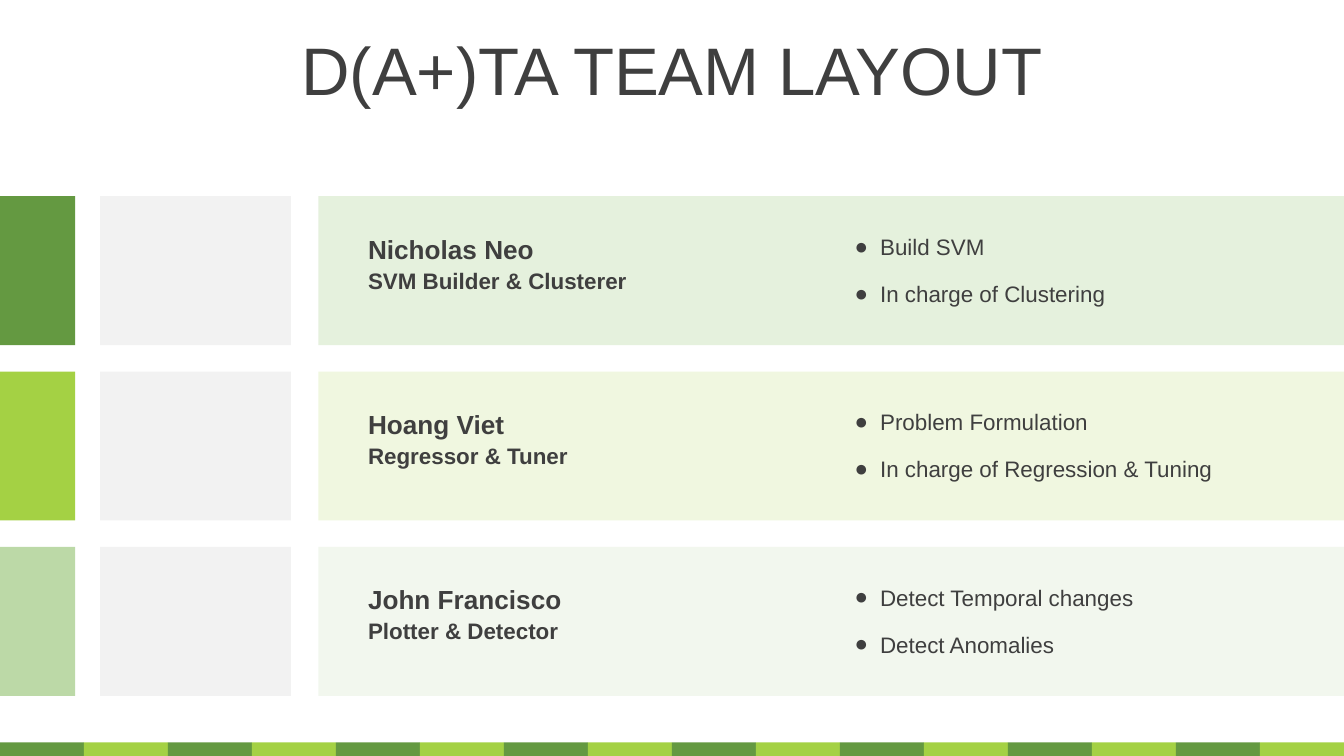
from lxml import etree
from pptx import Presentation
from pptx.dml.color import RGBColor
from pptx.enum.shapes import MSO_SHAPE
from pptx.enum.text import MSO_ANCHOR, PP_ALIGN
from pptx.oxml.ns import qn
from pptx.util import Inches, Pt

RECT = MSO_SHAPE.RECTANGLE
MIDDLE = MSO_ANCHOR.MIDDLE
LEFT, CENTER = PP_ALIGN.LEFT, PP_ALIGN.CENTER

INK = RGBColor(0x3F, 0x3F, 0x3F)
GRAY = RGBColor(0xF2, 0xF2, 0xF2)
GREEN = RGBColor(0x64, 0x99, 0x41)
LIME = RGBColor(0xA4, 0xD1, 0x44)
SAGE = RGBColor(0xA0, 0xCA, 0x83)
MINT = RGBColor(0xBF, 0xDC, 0xAC)
CREAM = RGBColor(0xDA, 0xEC, 0xB2)
MIST = RGBColor(0xDF, 0xED, 0xD5)

deck = Presentation()
deck.slide_width = Inches(10)
deck.slide_height = deck.slide_width * 9 // 16
X, Y = deck.slide_width / 100, deck.slide_height / 100
slide = deck.slides.add_slide(deck.slide_layouts[6])


def add_block(left, top, width, height, color, alpha=100):
    block = slide.shapes.add_shape(
        RECT, int(left * X), int(top * Y), int(width * X), int(height * Y))
    block.shadow.inherit = False
    block.line.fill.background()
    block.fill.solid()
    block.fill.fore_color.rgb = color
    if alpha < 100:
        tint = block.fill._xPr.find(".//" + qn("a:srgbClr"))
        etree.SubElement(tint, qn("a:alpha"), val=str(alpha * 1000))


def add_label(left, top, width, height, text, size, bold=False, align=LEFT):
    box = slide.shapes.add_textbox(
        int(left * X), int(top * Y), int(width * X), int(height * Y))
    frame = box.text_frame
    frame.word_wrap = True
    frame.vertical_anchor = MIDDLE
    para = frame.paragraphs[0]
    para.alignment = align
    run = para.add_run()
    run.text = text
    font = run.font
    font.name, font.size, font.bold = "Arial", Pt(size), bold
    font.color.rgb = INK
    return para


team = [
    ("Nicholas Neo", "SVM Builder & Clusterer",
     ["Build SVM", "In charge of Clustering"], GREEN, 100, MINT),
    ("Hoang Viet", "Regressor & Tuner",
     ["Problem Formulation", "In charge of Regression & Tuning"],
     LIME, 100, CREAM),
    ("John Francisco", "Plotter & Detector",
     ["Detect Temporal changes", "Detect Anomalies"], SAGE, 70, MIST),
]
TOP, PITCH, BAND = 25.95, 23.2, 19.7
COLS = 16
step = 100 / COLS

for col in range(COLS):
    add_block(col * step, 98.2, step, 2, LIME if col % 2 else GREEN)

add_label(0, 3.5, 100, 11.2, "D(A+)TA TEAM LAYOUT", 36, align=CENTER)

for row, (name, role, tasks, accent, alpha, tint) in enumerate(team):
    top = TOP + row * PITCH
    add_block(23.7, top, 76.3, BAND, tint, 40)
    add_block(0, top, 5.6, BAND, accent, alpha)
    add_block(7.45, top, 14.2, BAND, GRAY)
    add_label(26.4, top + 4.55, 23.6, 4.8, name, 14, True)
    add_label(26.4, top + 8.7, 23.6, 4.8, role, 12, True)
    for line, task in enumerate(tasks):
        para = add_label(62.6, top + 4 + line * 6.2, 34.8, 5.3, task, 12)
        props = para._p.get_or_add_pPr()
        props.set("marL", str(Inches(0.19)))
        props.set("indent", str(-Inches(0.19)))
        color = etree.SubElement(props, qn("a:buClr"))
        etree.SubElement(color, qn("a:srgbClr"), val=str(INK))
        etree.SubElement(props, qn("a:buFont"), typeface="Arial")
        etree.SubElement(props, qn("a:buChar"), char="●")

deck.save("out.pptx")
